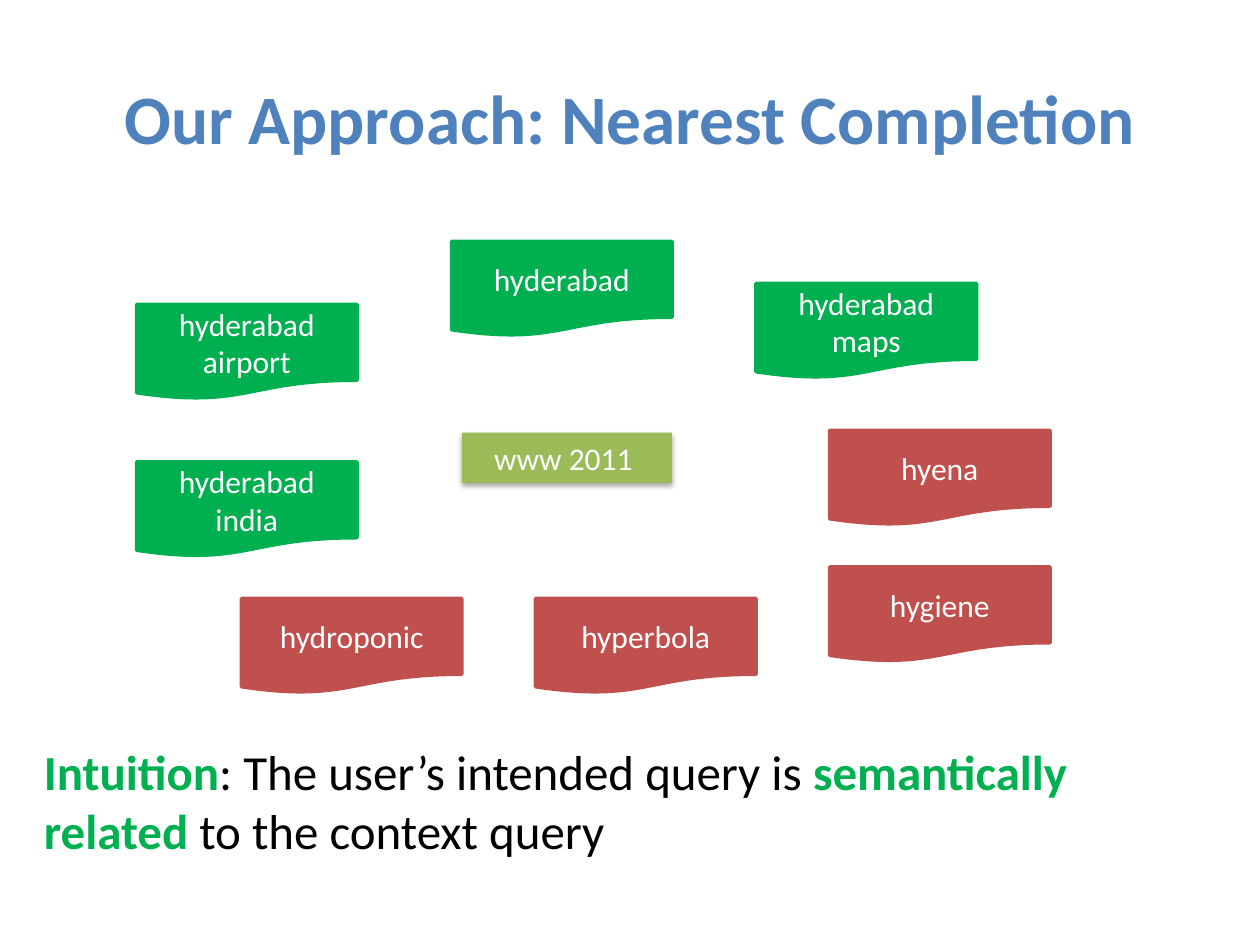
from dataclasses import dataclass

from lxml import etree
from pptx import Presentation
from pptx.dml.color import RGBColor
from pptx.enum.shapes import MSO_SHAPE
from pptx.enum.text import MSO_ANCHOR, MSO_AUTO_SIZE, PP_ALIGN
from pptx.oxml.ns import qn
from pptx.util import Emu, Pt

DOCUMENT = MSO_SHAPE.FLOWCHART_DOCUMENT
RECTANGLE = MSO_SHAPE.RECTANGLE
TOP, MIDDLE = MSO_ANCHOR.TOP, MSO_ANCHOR.MIDDLE
LEFT, CENTER = PP_ALIGN.LEFT, PP_ALIGN.CENTER
GROW = MSO_AUTO_SIZE.SHAPE_TO_FIT_TEXT

SCALE = 7620  # EMU per px, 120 px to the inch
FONT = "Calibri"
COLORS = {
    "title": "4F81BD",
    "context": "9BBB59",
    "related": "00B050",
    "unrelated": "C0504D",
    "text": "000000",
    "light": "FFFFFF",
    "shadow": "000000",
}
CARD_SIZE = (210, 90)


@dataclass
class Span:
    text: str
    color: str
    size: float
    bold: bool = False


@dataclass
class Card:
    left: int
    top: int
    lines: tuple[str, ...]
    color: str


CARDS = [
    Card(130, 290, ("hyderabad", "airport"), "related"),
    Card(430, 230, ("hyderabad",), "related"),
    Card(720, 270, ("hyderabad", "maps"), "related"),
    Card(130, 440, ("hyderabad", "india"), "related"),
    Card(230, 570, ("hydroponic",), "unrelated"),
    Card(510, 570, ("hyperbola",), "unrelated"),
    Card(790, 540, ("hygiene",), "unrelated"),
    Card(790, 410, ("hyena",), "unrelated"),
]

INTUITION = [
    Span("Intuition", "related", 28, True),
    Span(": The user’s intended query is ", "text", 28),
    Span("semantically related ", "related", 28, True),
    Span("to the context query", "text", 28),
]


def px(*lengths: int) -> list[Emu]:
    return [Emu(length * SCALE) for length in lengths]


def rgb(name: str) -> RGBColor:
    return RGBColor.from_string(COLORS[name])


def write(box, paragraphs: list[list[Span]], align, **frame_format) -> None:
    """Fill a box with paragraphs of formatted spans."""
    frame = box.text_frame
    for name, value in {"word_wrap": True, **frame_format}.items():
        setattr(frame, name, value)
    for index, spans in enumerate(paragraphs):
        para = frame.add_paragraph() if index else frame.paragraphs[0]
        para.alignment = align
        for span in spans:
            run = para.add_run()
            run.text = span.text
            run.font.color.rgb = rgb(span.color)
            font_format = {"name": FONT, "size": Pt(span.size), "bold": span.bold}
            for name, value in font_format.items():
                setattr(run.font, name, value)


def add_filled(page, preset, bounds: tuple[int, ...], color: str):
    shape = page.shapes.add_shape(preset, *px(*bounds))
    shape.shadow.inherit = False
    shape.fill.solid()
    shape.fill.fore_color.rgb = rgb(color)
    return shape


def add_card(page, card: Card) -> None:
    shape = add_filled(page, DOCUMENT, (card.left, card.top, *CARD_SIZE), card.color)
    shape.line.color.rgb = rgb(card.color)
    shape.line.width = Pt(2)
    lines = [[Span(line, "light", 18)] for line in card.lines]
    write(shape, lines, CENTER, vertical_anchor=MIDDLE)


def add_shadow(shape) -> None:
    """Soft shadow straight below the shape."""
    effects = shape._element.spPr.find(qn("a:effectLst"))
    outer = etree.SubElement(effects, qn("a:outerShdw"), blurRad="40000",
                             dist="23000", dir="5400000", rotWithShape="0")
    color = etree.SubElement(outer, qn("a:srgbClr"), val=COLORS["shadow"])
    etree.SubElement(color, qn("a:alpha"), val="35000")


def main() -> None:
    deck = Presentation()
    deck.slide_width, deck.slide_height = px(1200, 900)
    page = deck.slides.add_slide(deck.slide_layouts[6])

    # Title
    title = page.shapes.add_textbox(*px(60, 36, 1080, 150))
    heading = Span("Our Approach: Nearest Completion", "title", 39.6, True)
    write(title, [[heading]], CENTER, vertical_anchor=MIDDLE)

    # Context query
    context = add_filled(page, RECTANGLE, (440, 412, 200, 48), "context")
    context.line.fill.background()
    add_shadow(context)
    write(context, [[Span("www 2011 ", "light", 18)]], CENTER,
          vertical_anchor=TOP, auto_size=GROW)

    # Intuition
    intuition = page.shapes.add_textbox(*px(30, 700, 1090, 125))
    write(intuition, [INTUITION], LEFT, vertical_anchor=TOP, auto_size=GROW)

    # Candidate completions
    for card in CARDS:
        add_card(page, card)

    deck.save("out.pptx")


if __name__ == "__main__":
    main()
